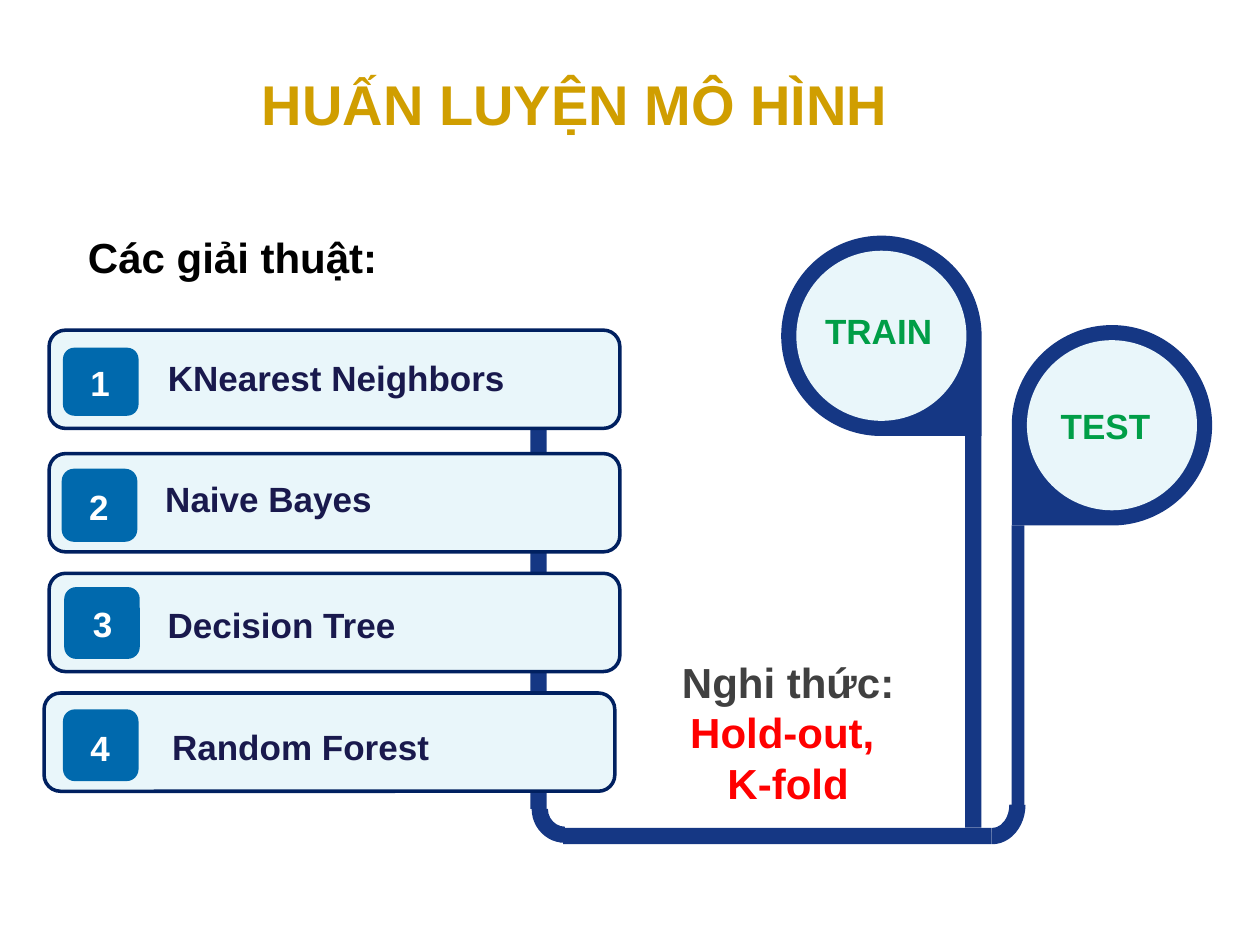
from pptx import Presentation
from pptx.dml.color import RGBColor
from pptx.enum.shapes import MSO_SHAPE as Shape
from pptx.enum.text import MSO_ANCHOR as Anchor, PP_ALIGN as Align
from pptx.util import Inches, Pt

NAVY, PALE, BLUE, OUTLINE = "153784", "E9F6FA", "0069AD", "002060"
INK, GREEN, GOLD, WHITE = "19194D", "009E47", "D09E00", "FFFFFF"

TITLE = "HUẤN LUYỆN MÔ HÌNH"
HEADING = "Các giải thuật:"
PROTOCOL = [[("Nghi thức: ", "404040"), ("Hold-out, ", "FF0000")], [("K-fold", "FF0000")]]

ALGORITHMS = [
    {"name": "KNearest Neighbors", "bar": (0.39, 2.62), "badge": (0.5, 2.76, 0.6, 0.54),
     "number": (0.51, 2.8, 0.57, 0.48), "label": (1.21, 2.76, 3.42, 0.48)},
    {"name": "Naive Bayes", "bar": (0.39, 3.6), "badge": (0.49, 3.72, 0.6, 0.58),
     "number": (0.5, 3.78, 0.57, 0.48), "label": (1.19, 3.72, 3.57, 0.48)},
    {"name": "Decision Tree", "bar": (0.39, 4.55), "badge": (0.51, 4.66, 0.6, 0.57),
     "number": (0.52, 4.71, 0.59, 0.48), "label": (1.19, 4.7, 4.53, 0.85)},
    {"name": "Random Forest", "bar": (0.35, 5.5), "badge": (0.5, 5.63, 0.6, 0.57),
     "number": (0.5, 5.69, 0.59, 0.48), "label": (1.23, 5.67, 3.25, 0.77)},
]
BAR_SIZE = (4.53, 0.78)

PIPES = [(4.21, 3.06, 0.13, 3.36), (4.47, 6.57, 3.4, 0.13)]
STEMS = [(7.66, 3.46, 0.13, 3.11), (8.03, 4.17, 0.1, 2.26)]
BENDS = [((4.22, 6.15, 0.53, 0.54), 0), ((7.56, 6.12, 0.63, 0.53), 270)]
BEND_ADJUSTMENTS = (54.318, 108.171, 0.243)

PINS = [
    ("TRAIN", (6.2, 1.87), 90, (6.45, 2.41, 1.16, 0.44)),
    ("TEST", (8.03, 2.58), 180, (8.32, 3.16, 1.08, 0.44)),
]
PIN_SIZE, PIN_RIM = 1.59, 0.12


def color(value):
    return RGBColor.from_string(value)


def add_shape(shapes, kind, box, fill=None, line=None, rotation=0):
    shape = shapes.add_shape(kind, *map(Inches, box))
    shape.shadow.inherit = False
    shape.rotation = rotation
    if fill:
        shape.fill.solid()
        shape.fill.fore_color.rgb = color(fill)
    else:
        shape.fill.background()
    if line:
        shape.line.color.rgb = color(line)
        shape.line.width = Pt(2)
    else:
        shape.line.fill.background()
    return shape


def write(shape, paragraphs, size, align=Align.LEFT, anchor=Anchor.TOP):
    frame = shape.text_frame
    frame.word_wrap = True
    frame.vertical_anchor = anchor
    for index, runs in enumerate(paragraphs):
        paragraph = frame.add_paragraph() if index else frame.paragraphs[0]
        paragraph.alignment = align
        paragraph.font.name = "Arial"
        paragraph.font.size = Pt(size)
        paragraph.font.bold = True
        for text, text_color in runs:
            run = paragraph.add_run()
            run.text = text
            run.font.color.rgb = color(text_color)


def add_text(shapes, box, paragraphs, size, **layout):
    write(shapes.add_textbox(*map(Inches, box)), paragraphs, size, **layout)


def add_track(shapes):
    track = shapes.add_group_shape().shapes
    for box in PIPES:
        add_shape(track, Shape.RECTANGLE, box, NAVY)
    for box, rotation in BENDS:
        bend = add_shape(track, Shape.BLOCK_ARC, box, NAVY, rotation=rotation)
        for index, value in enumerate(BEND_ADJUSTMENTS):
            bend.adjustments[index] = value


def add_algorithm(shapes, number, item):
    add_shape(shapes, Shape.ROUNDED_RECTANGLE, item["bar"] + BAR_SIZE, PALE, OUTLINE)
    add_shape(shapes, Shape.ROUNDED_RECTANGLE, item["badge"], BLUE)
    label = add_shape(shapes, Shape.ROUNDED_RECTANGLE, item["label"])
    write(label, [[(item["name"], INK)]], 20)
    digit = add_shape(shapes, Shape.ROUNDED_RECTANGLE, item["number"])
    write(digit, [[(str(number), WHITE)]], 20, align=Align.CENTER)


def add_pin(shapes, left, top, rotation):
    pin = shapes.add_group_shape().shapes
    add_shape(pin, Shape.TEAR, (left, top, PIN_SIZE, PIN_SIZE), NAVY, rotation=rotation)
    inner = PIN_SIZE - 2 * PIN_RIM
    add_shape(pin, Shape.OVAL, (left + PIN_RIM, top + PIN_RIM, inner, inner), PALE)


def main():
    presentation = Presentation()
    presentation.slide_width, presentation.slide_height = Inches(10), Inches(7.5)
    slide = presentation.slides.add_slide(presentation.slide_layouts[6])
    shapes = slide.shapes

    add_track(shapes)
    for number, item in enumerate(ALGORITHMS, 1):
        add_algorithm(shapes, number, item)
    add_text(shapes, (4.91, 5.16, 2.69, 1.31), PROTOCOL, 24, align=Align.CENTER)
    for box in STEMS:
        add_shape(shapes, Shape.RECTANGLE, box, NAVY)
    for name, position, rotation, label_box in PINS:
        add_pin(shapes, *position, rotation)
        add_text(shapes, label_box, [[(name, GREEN)]], 20)
    add_text(shapes, (1.98, 0.3, 7.75, 1.03), [[(TITLE, GOLD)]], 32, anchor=Anchor.MIDDLE)
    add_text(shapes, (0.6, 1.79, 3.34, 0.5), [[(HEADING, "000000")]], 24)

    presentation.save("out.pptx")


if __name__ == "__main__":
    main()
